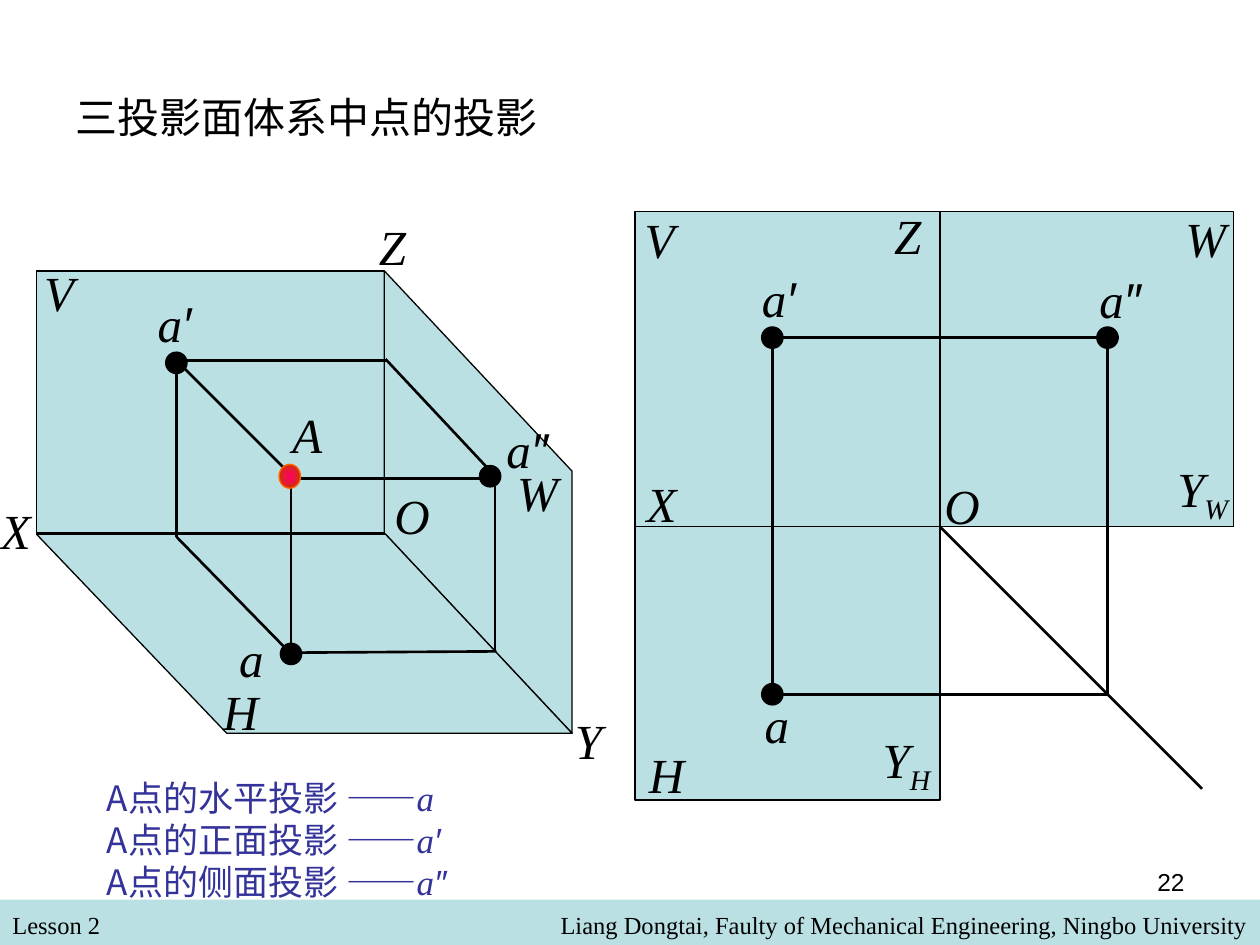
from pptx import Presentation
from pptx.dml.color import RGBColor
from pptx.enum.shapes import MSO_CONNECTOR as Connector, MSO_SHAPE as Shape
from pptx.enum.text import MSO_ANCHOR as Anchor, PP_ALIGN as Align
from pptx.oxml.ns import qn
from pptx.util import Inches, Pt
from lxml.etree import SubElement

COLORS = {"plane": "BBE0E3", "ink": "000000", "caption": "333399",
          "point_center": "FF0066", "point_rim": "CC3300", "point_line": "FF6600"}
SERIF, SANS, CHINESE = "Times New Roman", "Arial", "Noto Sans CJK SC"
LABEL_HEIGHT, DOT = 0.57, 0.17
THIN, THICK = 0.75, 1.5

FOOTER = [
    ("Lesson 2", (0, 7.17, 4.83, 0.34), Align.LEFT),
    ("Liang Dongtai, Faulty of Mechanical Engineering, Ningbo University",
     (1.83, 7.17, 8.17, 0.34), Align.RIGHT),
]
TITLE = "三投影面体系中点的投影"
CAPTIONS = [("A点的水平投影 ——", "a", ""),
            ("A点的正面投影 ——", "a", "′"),
            ("A点的侧面投影 ——", "a", "″")]

FLAT = {
    "planes": [
        [(5.04, 1.68), (7.46, 1.68), (7.46, 6.35), (5.04, 6.35)],
        [(7.46, 1.68), (9.79, 1.68), (9.79, 4.18), (7.46, 4.18)],
    ],
    "axes": [((7.46, 4.18), (5.04, 4.18))],
    "rays": [((6.13, 2.68), (8.88, 2.68)), ((6.13, 2.68), (6.13, 5.51)),
             ((6.13, 5.51), (8.79, 5.51)), ((8.79, 2.68), (8.79, 5.51)),
             ((7.46, 4.18), (9.54, 6.26))],
    "dots": [(6.13, 2.68), (8.79, 2.68), (6.13, 5.51)],
    "labels": [
        ("H", "", "", 5.05, 5.86, 0.48), ("a", "′", "", 5.87, 2.08, 0.62),
        ("a", "", "", 5.97, 5.46, 0.39), ("a", "″", "", 8.35, 2.09, 1.08),
        ("V", "", "", 4.83, 1.61, 0.81), ("W", "", "", 9.14, 1.60, 0.86),
        ("X", "", "", 5.03, 3.71, 0.44), ("O", "", "", 7.33, 3.72, 0.61),
        ("Z", "", "", 6.92, 1.58, 0.57), ("Y", "", "W", 9.09, 3.59, 0.91),
        ("Y", "", "H", 6.75, 5.74, 0.89),
    ],
}
SPATIAL = {
    "planes": [
        [(0.29, 2.15), (3.05, 2.15), (3.05, 4.23), (0.29, 4.23)],
        [(3.05, 2.15), (4.54, 3.74), (4.54, 5.82), (3.05, 4.23)],
        [(0.29, 4.24), (1.8, 5.82), (4.54, 5.82), (3.06, 4.24)],
    ],
    "axes": [],
    "rays": [((1.4, 2.9), (1.4, 4.26)), ((2.3, 5.18), (3.94, 5.17)),
             ((1.4, 4.26), (2.3, 5.18)), ((2.3, 3.76), (1.38, 2.84)),
             ((3.93, 3.81), (3.93, 5.17)), ((2.31, 3.8), (3.98, 3.8)),
             ((2.31, 5.22), (2.31, 3.8)), ((1.4, 2.86), (3.06, 2.86)),
             ((3.06, 2.85), (3.94, 3.79))],
    "dots": [(1.4, 2.88), (2.31, 5.19), (3.89, 3.78)],
    "labels": [
        ("H", "", "", 1.59, 5.36, 0.64), ("V", "", "", 0.25, 2.03, 0.44),
        ("X", "", "", -0.09, 3.92, 0.43), ("Z", "", "", 2.81, 1.67, 0.61),
        ("Y", "", "", 4.37, 5.59, 0.6), ("W", "", "", 3.94, 3.62, 0.65),
        ("O", "", "", 3.03, 3.8, 0.48), ("a", "′", "", 1, 2.28, 0.77),
        ("a", "", "", 1.8, 4.94, 0.39), ("a", "″", "", 3.83, 3.28, 0.71),
        ("A", "", "", 2.22, 3.16, 0.44),
    ],
}


def color(name):
    return RGBColor.from_string(COLORS[name])


def style(shape, fill, line="ink", width=THIN):
    shape.shadow.inherit = False
    shape.fill.solid()
    shape.fill.fore_color.rgb = color(fill)
    if line:
        shape.line.color.rgb = color(line)
        shape.line.width = Pt(width)
    else:
        shape.line.fill.background()


def add_run(paragraph, text, font, size, ink="ink", italic=False, subscript=False):
    run = paragraph.add_run()
    run.text = text
    run.font.name, run.font.size, run.font.italic = font, Pt(size), italic
    run.font.color.rgb = color(ink)
    properties = run._r.get_or_add_rPr()
    SubElement(properties, qn("a:ea")).set("typeface", font)
    if subscript:
        properties.set("baseline", "-25000")


def add_box(slide, box, anchor=Anchor.TOP, align=Align.LEFT, wrap=True):
    frame = slide.shapes.add_textbox(*map(Inches, box)).text_frame
    frame.word_wrap = wrap
    frame.vertical_anchor = anchor
    frame.paragraphs[0].alignment = align
    return frame


def add_plane(slide, corners):
    builder = slide.shapes.build_freeform(*map(Inches, corners[0]), scale=1.0)
    builder.add_line_segments([tuple(map(Inches, corner)) for corner in corners[1:]])
    style(builder.convert_to_shape(), "plane")


def add_line(slide, start, end, width):
    line = slide.shapes.add_connector(Connector.STRAIGHT, *map(Inches, start + end))
    line.line.color.rgb = color("ink")
    line.line.width = Pt(width)
    SubElement(line._element.spPr, qn("a:effectLst"))


def add_dot(slide, center, height=DOT):
    x, y = center
    box = (x - DOT / 2, y - height / 2, DOT, height)
    dot = slide.shapes.add_shape(Shape.OVAL, *map(Inches, box))
    style(dot, "ink")
    return dot


def add_label(slide, letter, prime, subscript, left, top, width):
    height = 0.63 if subscript else LABEL_HEIGHT
    frame = add_box(slide, (left, top, width, height), Anchor.MIDDLE, Align.CENTER, False)
    paragraph = frame.paragraphs[0]
    add_run(paragraph, letter, SERIF, 28, italic=True)
    if prime:
        add_run(paragraph, prime, SANS, 28, italic=True)
    if subscript:
        add_run(paragraph, subscript, SERIF, 28, italic=True, subscript=True)


def add_view(slide, view):
    for corners in view["planes"]:
        add_plane(slide, corners)
    for key, width in (("axes", THIN), ("rays", THICK)):
        for start, end in view[key]:
            add_line(slide, start, end, width)
    for center in view["dots"]:
        add_dot(slide, center)
    for label in view["labels"]:
        add_label(slide, *label)


def add_space_point(slide):
    point = add_dot(slide, (2.3, 3.78), 0.19)
    point.line.color.rgb = color("point_line")
    point.fill.gradient()
    for stop, name in zip(point.fill.gradient_stops, ("point_center", "point_rim")):
        stop.color.rgb = color(name)
    gradient = point._element.spPr.find(qn("a:gradFill"))
    gradient.remove(gradient.find(qn("a:lin")))
    path = SubElement(gradient, qn("a:path"))
    path.set("path", "rect")
    focus = SubElement(path, qn("a:fillToRect"))
    for side in "ltrb":
        focus.set(side, "50000")


def add_captions(slide):
    frame = add_box(slide, (0.75, 6.11, 8.19, 1.1), Anchor.MIDDLE)
    for index, (text, letter, prime) in enumerate(CAPTIONS):
        paragraph = frame.add_paragraph() if index else frame.paragraphs[0]
        add_run(paragraph, text, CHINESE, 20, "caption")
        add_run(paragraph, letter, SERIF, 20, "caption", italic=True)
        if prime:
            add_run(paragraph, prime, SANS, 20, "caption", italic=True)


def main():
    presentation = Presentation()
    presentation.slide_width, presentation.slide_height = Inches(10), Inches(7.5)
    slide = presentation.slides.add_slide(presentation.slide_layouts[6])

    band = slide.shapes.add_shape(Shape.RECTANGLE, *map(Inches, (0, 7.14, 10, 0.36)))
    style(band, "plane", line=None)
    for text, box, align in FOOTER:
        add_run(add_box(slide, box, align=align).paragraphs[0], text, SERIF, 14)

    title = add_box(slide, (0.5, 0.3, 9, 1.25), Anchor.MIDDLE)
    add_run(title.paragraphs[0], TITLE, CHINESE, 24)
    add_captions(slide)
    add_view(slide, FLAT)
    add_view(slide, SPATIAL)
    add_space_point(slide)

    number = add_box(slide, (7.17, 6.83, 2.33, 0.52), align=Align.RIGHT)
    add_run(number.paragraphs[0], "22", SANS, 14)
    presentation.save("out.pptx")


if __name__ == "__main__":
    main()
